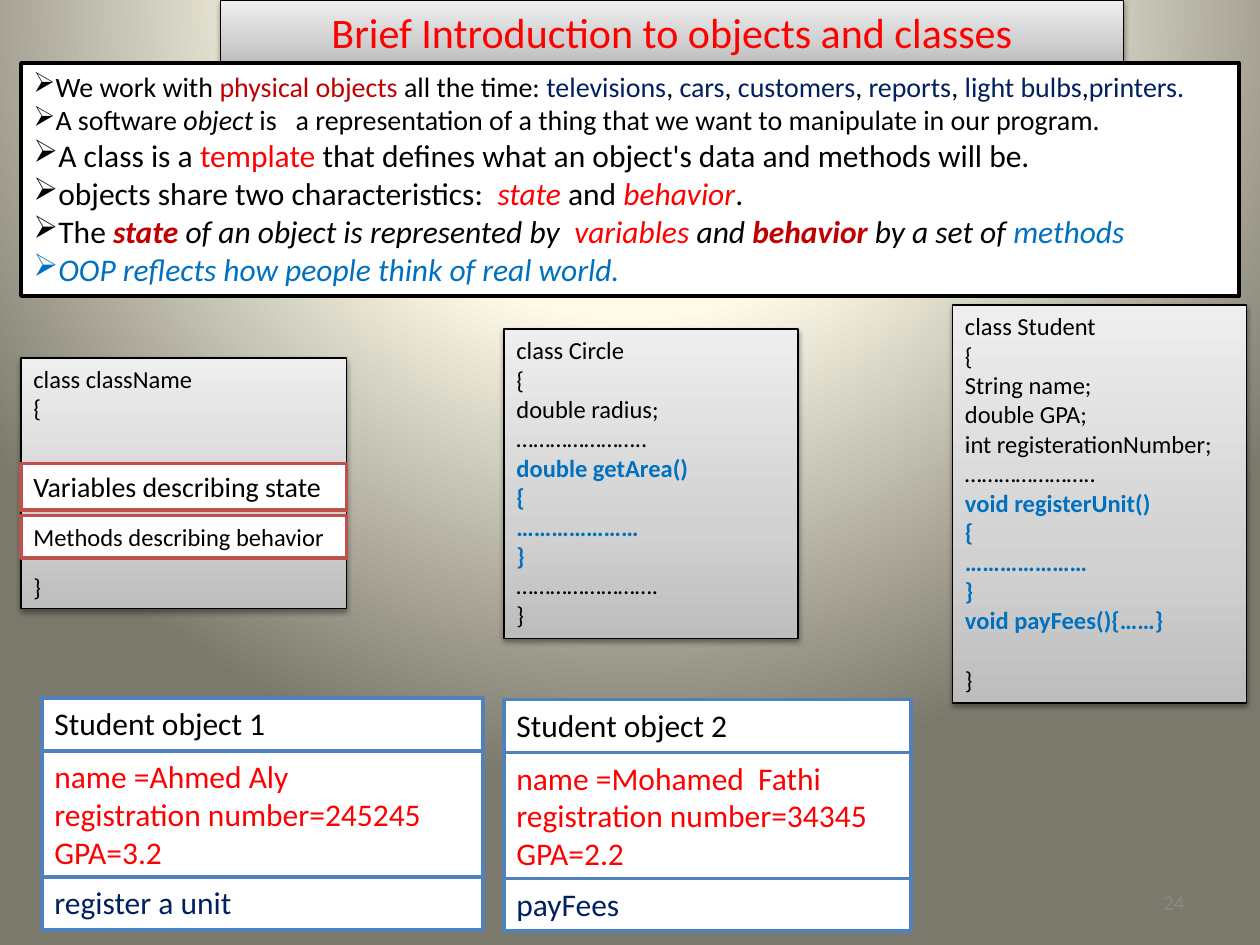
from dataclasses import dataclass
from typing import NamedTuple

from lxml.etree import SubElement
from pptx import Presentation
from pptx.dml.color import RGBColor
from pptx.enum.shapes import MSO_SHAPE as SHAPE
from pptx.enum.text import MSO_AUTO_SIZE as AUTO, PP_ALIGN as ALIGN
from pptx.oxml import parse_xml
from pptx.oxml.ns import nsdecls, qn
from pptx.util import Pt

FONT = "Calibri"
COLORS = {
    "black": "000000", "white": "FFFFFF", "red": "FF0000", "crimson": "C00000",
    "navy": "002060", "blue": "0070C0", "brick": "C0504D", "steel": "4F81BD",
    "gray": "898989",
}
PANEL_STOPS = [(0, "BDBDBD"), (35, "D1D1D1"), (100, "EEEEEE")]
PANEL_SHADE = '<a:lin ang="16200000" scaled="0"/>'
BACK_STOPS = [(0, "FEFCEE"), (40, "FDFAEA"), (100, "7B796B")]
BACK_SHADE = ('<a:path path="circle"><a:fillToRect l="50000" t="-80000" '
              'r="50000" b="180000"/></a:path>')


class Run(NamedTuple):
    text: str
    color: str = "black"
    bold: bool = False
    italic: bool = False


@dataclass
class Para:
    runs: list[Run]
    size: float
    bullet: bool = False
    before: float = 0
    align: ALIGN | None = None


@dataclass
class Box:
    left: float
    top: float
    width: float
    height: float
    paras: list[Para]
    line: str = "black"
    line_width: float = 2
    panel: bool = False


def rgb(name: str) -> RGBColor:
    """Look up a named colour."""
    return RGBColor.from_string(COLORS[name])


def gradient(stops: list, shade: str):
    """Build a gradient fill element."""
    gs = "".join(f'<a:gs pos="{pos * 1000}"><a:srgbClr val="{color}"/></a:gs>'
                 for pos, color in stops)
    return parse_xml(f'<a:gradFill {nsdecls("a")} rotWithShape="1">'
                     f"<a:gsLst>{gs}</a:gsLst>{shade}</a:gradFill>")


def set_background(slide) -> None:
    """Give the slide its round gradient."""
    slide.background.fill.solid()
    bg_pr = slide.element.cSld.find(qn("p:bg")).find(qn("p:bgPr"))
    bg_pr.replace(bg_pr[0], gradient(BACK_STOPS, BACK_SHADE))


def add_shadow(sp) -> None:
    """Add a soft shadow below a shape."""
    shadow = SubElement(sp.element.spPr.find(qn("a:effectLst")), qn("a:outerShdw"),
                        blurRad=str(Pt(3.1)), dist=str(Pt(1.6)), dir="5400000",
                        rotWithShape="0")
    color = SubElement(shadow, qn("a:srgbClr"), val=COLORS["black"])
    SubElement(color, qn("a:alpha"), val="38000")


def write(tf, paras: list[Para]) -> None:
    """Fill a text frame with formatted paragraphs."""
    for i, para in enumerate(paras):
        p = tf.paragraphs[0] if i == 0 else tf.add_paragraph()
        p.alignment = para.align or ALIGN.LEFT
        if para.before:
            p.space_before = Pt(para.before)
        if para.bullet:
            SubElement(p._p.get_or_add_pPr(), qn("a:buChar"), char="➢")
        for run in para.runs:
            r = p.add_run()
            r.text = run.text
            r.font.name, r.font.size = FONT, Pt(para.size)
            r.font.bold, r.font.italic = run.bold, run.italic
            r.font.color.rgb = rgb(run.color)


def add_box(shapes, box: Box) -> None:
    """Draw a rectangle with text, plain white or shaded."""
    sp = shapes.add_shape(SHAPE.RECTANGLE, Pt(box.left), Pt(box.top),
                          Pt(box.width), Pt(box.height))
    if box.panel:
        sp.element.spPr.append(gradient(PANEL_STOPS, PANEL_SHADE))
    else:
        sp.fill.solid()
        sp.fill.fore_color.rgb = rgb("white")
    sp.line.color.rgb = rgb(box.line)
    sp.line.width = Pt(box.line_width)
    sp.shadow.inherit = False
    if box.panel:
        add_shadow(sp)
    tf = sp.text_frame
    tf.word_wrap = True
    tf.auto_size = AUTO.SHAPE_TO_FIT_TEXT
    tf.vertical_anchor = None
    write(tf, box.paras)


def lines(text: str, size: float, color: str = "black", bold: bool = False) -> list[Para]:
    """Turn each line of a text into a paragraph of one style."""
    return [Para([Run(line, color, bold)], size) for line in text.split("\n")]


def panel(left: float, top: float, width: float, height: float, paras: list[Para]) -> Box:
    """Describe a shaded box with a thin black line."""
    return Box(left, top, width, height, paras, line_width=0.75, panel=True)


def add_object(shapes, left: float, top: float, width: float, name: str,
               state: str, method: str) -> None:
    """Draw an object as stacked name, state and method boxes."""
    group = shapes.add_group_shape()
    for offset, height, text, color in [(0, 30.2, name, "black"),
                                        (30.2, 72.7, state, "red"),
                                        (102.3, 30.2, method, "navy")]:
        add_box(group.shapes, Box(left, top + offset, width, height,
                                  lines(text, 18, color), "steel"))


def closing(before: float = 0) -> Para:
    """Closing brace of a class, set off by a gap."""
    return Para([Run("}")], 14, before=before)


examples = ["televisions", "cars", "customers", "reports", "light bulbs", "printers."]
separators = [", "] * 4 + [","]
example_runs = [Run(examples[0], "navy")]
for separator, example in zip(separators, examples[1:]):
    example_runs += [Run(separator), Run(example, "navy")]

INTRO = [
    (16, [Run("We work with "), Run("physical objects ", "crimson"),
          Run("all the time: "), *example_runs]),
    (16, [Run("A software "), Run("object", italic=True),
          Run(" is   a representation of a thing that we want to manipulate in our program.")]),
    (18, [Run("A class is a "), Run("template", "red"),
          Run(" that defines what an object's data and methods will be.")]),
    (18, [Run("objects share two characteristics:  "), Run("state", "red", italic=True),
          Run(" and "), Run("behavior", "red", italic=True), Run(".")]),
    (18, [Run("The "), Run("state", "crimson", True, True),
          Run(" of an object is represented by  ", italic=True),
          Run("variables ", "red", italic=True), Run("and ", italic=True),
          Run("behavior", "crimson", True, True), Run(" by a set of ", italic=True),
          Run("methods", "blue", italic=True)]),
    (18, [Run("OOP reflects how people think of real world.", "blue", italic=True)]),
]
DOTS = "…" * 7
CIRCLE = [*lines(f"class Circle\n{{\ndouble radius;\n{DOTS}..", 14),
          *lines(f"double getArea()\n{{\n{DOTS}\n}}", 14, "blue", True),
          *lines(f"{DOTS}….", 14), closing()]
STUDENT = [*lines("class Student\n{\nString name;\ndouble GPA;\n"
                  f"int registerationNumber;\n{DOTS}..", 14),
           *lines(f"void registerUnit()\n{{\n{DOTS}\n}}\nvoid payFees(){{……}}",
                  14, "blue", True), closing(17)]

prs = Presentation()
prs.slide_width, prs.slide_height = Pt(720), Pt(540)
slide = prs.slides.add_slide(prs.slide_layouts[6])
set_background(slide)
shapes = slide.shapes

title = Para([Run("Brief Introduction to objects and classes", "red")], 24, align=ALIGN.CENTER)
add_box(shapes, panel(126, 0, 516, 36, [title]))
add_box(shapes, Box(12, 36, 696, 133.2, [Para(runs, size, True) for size, runs in INTRO]))
add_box(shapes, panel(288, 188, 168, 177, CIRCLE))

template = shapes.add_group_shape()
for box in [
    panel(12, 204.5, 186, 143.3, [*lines("class className\n{", 14), closing(85.4)]),
    Box(12, 264.9, 186, 26.7, lines("Variables describing state ", 16), "brick"),
    Box(12, 294.6, 186, 24.3, lines("Methods describing behavior", 14), "brick"),
]:
    add_box(template.shapes, box)

add_box(shapes, panel(544.3, 174.3, 168, 227.5, STUDENT))
add_object(shapes, 24, 398.9, 252, "Student object 1",
           "name =Ahmed Aly\nregistration number=245245\nGPA=3.2", "register a unit")
add_object(shapes, 288, 399.7, 232.6, "Student object 2",
           "name =Mohamed  Fathi\nregistration number=34345\nGPA=2.2", "payFees")

number = shapes.add_textbox(Pt(516), Pt(504.5), Pt(168), Pt(22))
number.text_frame.word_wrap = True
write(number.text_frame, [Para([Run("24", "gray")], 12, align=ALIGN.RIGHT)])

prs.save("out.pptx")
